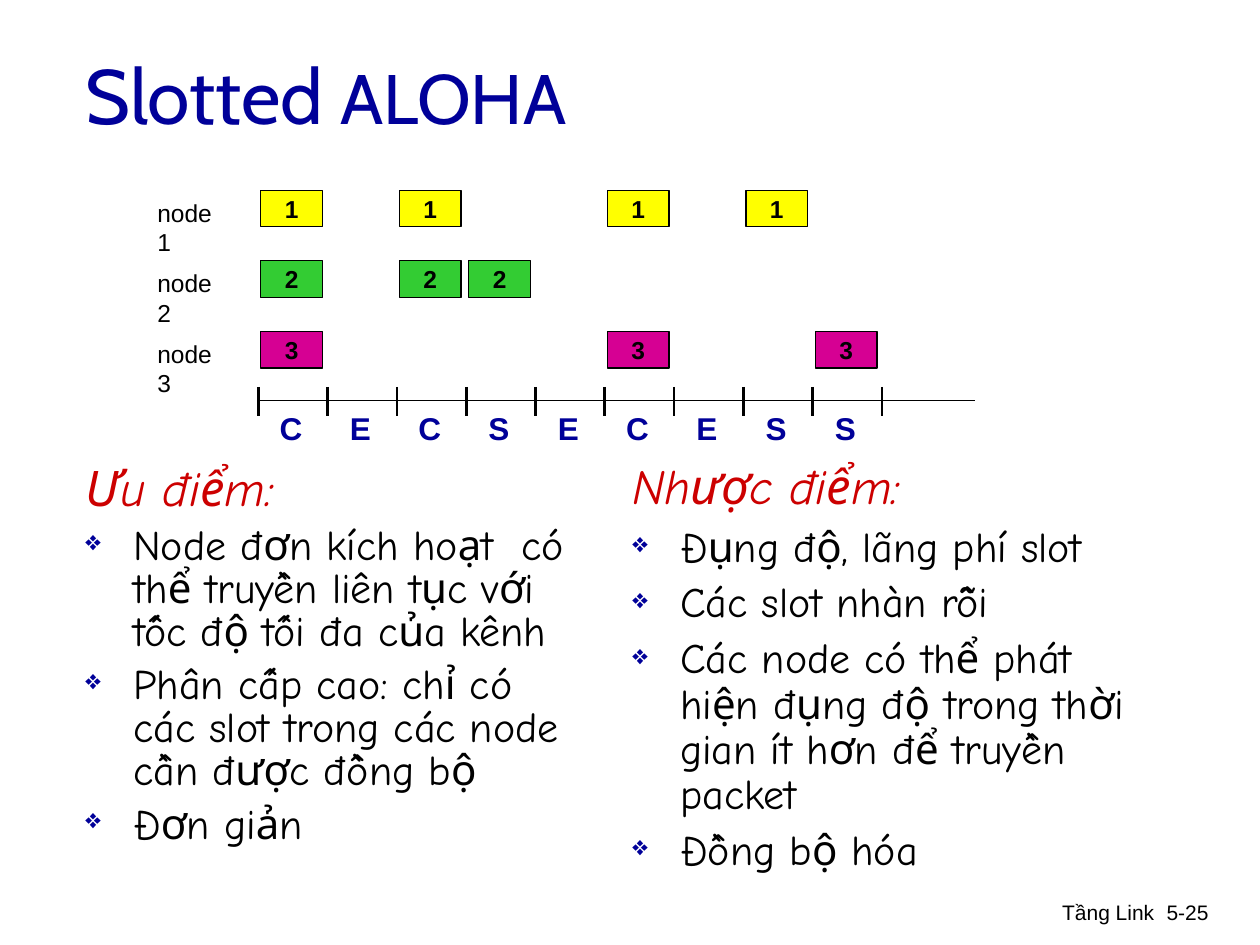
from lxml import etree
from pptx import Presentation
from pptx.dml.color import RGBColor
from pptx.enum import shapes, text
from pptx.oxml.ns import qn
from pptx.util import Inches, Pt

BLACK = RGBColor(0x00, 0x00, 0x00)
NAVY = RGBColor(0x00, 0x00, 0x99)
RED = RGBColor(0xCC, 0x00, 0x00)
YELLOW = RGBColor(0xFF, 0xFF, 0x00)
GREEN = RGBColor(0x33, 0xCC, 0x33)
MAGENTA = RGBColor(0xD6, 0x00, 0x93)

AXIS_LEFT, AXIS_RIGHT, AXIS_Y = 2.05, 7.74, 3.18
SLOT_WIDTH = 0.55
SLOT_RESULTS = "CECSECESS"
ROW_TOP, ROW_PITCH = 1.51, 0.56
NODES = [
    ("1", YELLOW, (0, 2, 5, 7)),
    ("2", GREEN, (0, 2, 3)),
    ("3", MAGENTA, (0, 5, 8)),
]
ADVANTAGES = [
    "Node đơn kích hoạt  có thể truyền liên tục với tốc độ tối đa của kênh",
    "Phân cấp cao: chỉ có các slot trong các node cần được đồng bộ",
    "Đơn giản",
]
DRAWBACKS = [
    "Đụng độ, lãng phí slot",
    "Các slot nhàn rỗi",
    "Các node có thể phát hiện đụng độ trong thời gian ít hơn để truyền packet",
    "Đồng bộ hóa",
]


def style(font, size, color, name="Arial", bold=False, italic=False):
    """Set the look of a font."""
    font.size, font.name = Pt(size), name
    font.bold, font.italic = bold, italic
    font.color.rgb = color


def add_label(page, words, left, top, width, height, size, color=BLACK,
              bold=False, align=text.PP_ALIGN.LEFT, wrap=False):
    """Add a one-line text box."""
    box = page.shapes.add_textbox(Inches(left), Inches(top), Inches(width), Inches(height))
    box.text_frame.word_wrap = wrap
    para = box.text_frame.paragraphs[0]
    para.text = words
    para.alignment = align
    style(para.font, size, color, bold=bold)


def add_title(page):
    """Add the title with its two text sizes."""
    box = page.shapes.add_textbox(Inches(0.58), Inches(0.12), Inches(5.42), Inches(1.25))
    frame = box.text_frame
    frame.word_wrap = True
    frame.vertical_anchor = text.MSO_ANCHOR.MIDDLE
    for words, size in (("Slotted ", 44), ("ALOHA", 40)):
        span = frame.paragraphs[0].add_run()
        span.text = words
        style(span.font, size, NAVY, "Cabin")


def add_bullet(para):
    """Give a paragraph a hanging diamond bullet."""
    props = para._p.get_or_add_pPr()
    props.set("marL", str(Inches(0.38)))
    props.set("indent", str(-Inches(0.38)))
    color = etree.SubElement(props, qn("a:buClr"))
    etree.SubElement(color, qn("a:srgbClr"), val=str(NAVY))
    etree.SubElement(props, qn("a:buSzPct"), val="65000")
    etree.SubElement(props, qn("a:buChar"), char="❖")


def add_points(page, heading, points, left, top, spacing):
    """Add a red heading followed by a bulleted list."""
    box = page.shapes.add_textbox(Inches(left), Inches(top), Inches(4.17), Inches(3.5))
    frame = box.text_frame
    frame.word_wrap = True
    para = frame.paragraphs[0]
    para.text = heading
    para.line_spacing = spacing
    style(para.font, 28, RED, "Comic Neue", italic=True)
    for point in points:
        para = frame.add_paragraph()
        para.text = point
        add_bullet(para)
        para.line_spacing = spacing
        para.space_before = Pt(6)
        style(para.font, 24, BLACK, "Comic Neue")


def add_frame(page, number, color, left, top):
    """Add one transmitted frame as a numbered rectangle."""
    shape = page.shapes.add_shape(shapes.MSO_SHAPE.RECTANGLE, Inches(left), Inches(top),
                                  Inches(0.49), Inches(0.29))
    shape.shadow.inherit = False
    shape.fill.solid()
    shape.fill.fore_color.rgb = color
    shape.line.color.rgb = BLACK
    shape.line.width = Pt(0.75)
    frame = shape.text_frame
    frame.margin_top = frame.margin_bottom = 0
    frame.vertical_anchor = text.MSO_ANCHOR.MIDDLE
    frame.text = number
    para = frame.paragraphs[0]
    para.alignment = text.PP_ALIGN.CENTER
    style(para.font, 14, BLACK, bold=True)


def add_line(page, x1, y1, x2, y2, width):
    """Add a straight black line."""
    line = page.shapes.add_connector(shapes.MSO_CONNECTOR.STRAIGHT, Inches(x1), Inches(y1),
                                     Inches(x2), Inches(y2))
    line.line.color.rgb = BLACK
    line.line.width = Pt(width)
    etree.SubElement(line._element.spPr, qn("a:effectLst"))


def add_nodes(page):
    """Add a row of frames for each node."""
    for row, (number, color, slots) in enumerate(NODES):
        top = ROW_TOP + row * ROW_PITCH
        add_label(page, f"node {number}", 1.15, top + 0.01, 0.79, 0.34, 14)
        for slot in slots:
            add_frame(page, number, color, AXIS_LEFT + 0.02 + slot * SLOT_WIDTH, top)


def add_timeline(page):
    """Add the time axis, slot ticks and slot results."""
    add_line(page, AXIS_LEFT, AXIS_Y, AXIS_RIGHT, AXIS_Y, 0.75)
    for tick in range(len(SLOT_RESULTS) + 1):
        x = AXIS_LEFT + tick * SLOT_WIDTH
        add_line(page, x, AXIS_Y - 0.11, x, AXIS_Y + 0.12, 1.5)
    for slot, result in enumerate(SLOT_RESULTS):
        add_label(page, result, AXIS_LEFT + 0.07 + slot * SLOT_WIDTH, 3.2, 0.38, 0.4,
                  18, NAVY, True, text.PP_ALIGN.CENTER)


def main():
    """Build the slide and save it."""
    deck = Presentation()
    deck.slide_width, deck.slide_height = Inches(10), Inches(7.5)
    page = deck.slides.add_slide(deck.slide_layouts[6])
    right = text.PP_ALIGN.RIGHT
    add_label(page, "Tầng Link", 6.09, 7.09, 3.17, 0.5, 12, align=right, wrap=True)
    add_label(page, "5-25", 8.95, 7.09, 0.74, 0.5, 12, align=right, wrap=True)
    add_points(page, "Ưu điểm:", ADVANTAGES, 0.58, 3.65, 0.85)
    add_points(page, "Nhược điểm:", DRAWBACKS, 4.92, 3.62, 0.9)
    add_title(page)
    add_nodes(page)
    add_timeline(page)
    deck.save("out.pptx")


if __name__ == "__main__":
    main()
